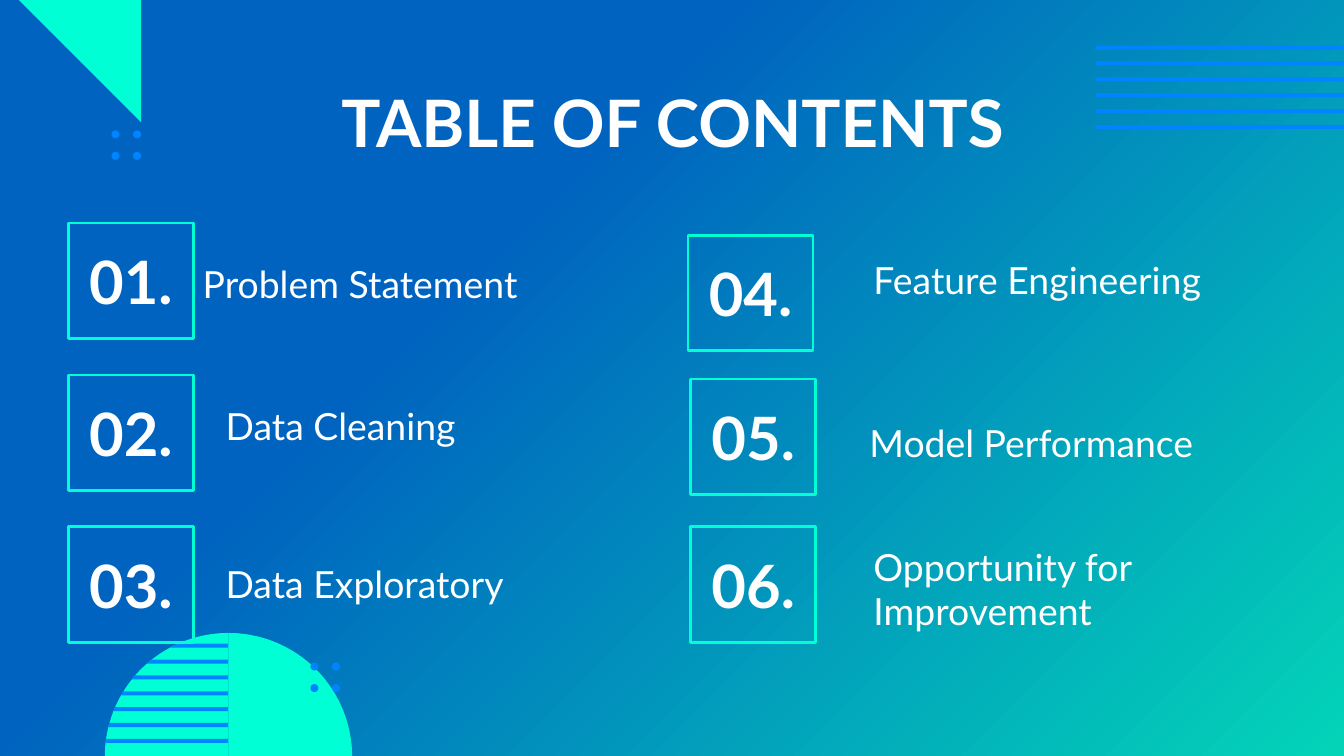
from math import cos, pi, sin, sqrt

from pptx import Presentation
from pptx.dml.color import RGBColor
from pptx.enum.shapes import MSO_SHAPE as Preset
from pptx.enum.text import MSO_ANCHOR as Anchor
from pptx.enum.text import MSO_AUTO_SIZE as AutoSize
from pptx.enum.text import PP_ALIGN as Align
from pptx.util import Inches, Pt

WHITE = RGBColor(0xFF, 0xFF, 0xFF)
MINT = RGBColor(0x00, 0xFF, 0xD5)
BRIGHT_BLUE = RGBColor(0x00, 0x84, 0xFF)
DEEP_BLUE = RGBColor(0x00, 0x63, 0xBF)
TEAL = RGBColor(0x03, 0xD4, 0xB8)
FONT = "Lato"

STRIPE_HEIGHT = 0.03
STRIPE_PITCH = 0.118
DOME_X, DOME_Y, DOME_RADIUS = 1.7, 5.63, 0.92

# number, box (left, top), topic, topic (left, top, width, height)
CONTENTS = [
    ("01.", (0.51, 1.66), "Problem Statement", (1.41, 1.91, 2.82, 0.4)),
    ("02.", (0.51, 2.79), "Data Cleaning", (1.58, 2.97, 2.82, 0.4)),
    ("03.", (0.51, 3.92), "Data Exploratory", (1.58, 4.14, 2.46, 0.4)),
    ("04.", (5.12, 1.75), "Feature Engineering", (6.4, 1.88, 2.82, 0.4)),
    ("05.", (5.14, 2.82), "Model Performance", (6.37, 3.05, 2.85, 0.49)),
    ("06.", (5.14, 3.92), "Opportunity for Improvement", (6.4, 4.1, 2.82, 0.56)),
]


def write_text(shape, text, size, bold=False, align=Align.LEFT):
    frame = shape.text_frame
    frame.word_wrap = True
    frame.auto_size = AutoSize.NONE
    frame.vertical_anchor = Anchor.MIDDLE
    frame.margin_left = frame.margin_right = Inches(0.1)
    frame.margin_top = frame.margin_bottom = Inches(0.1)
    paragraph = frame.paragraphs[0]
    paragraph.alignment = align
    run = paragraph.add_run()
    run.text = text
    run.font.name = FONT
    run.font.size = Pt(size)
    run.font.bold = bold
    run.font.color.rgb = WHITE


def paint(shape, color):
    shape.shadow.inherit = False
    shape.fill.solid()
    shape.fill.fore_color.rgb = color
    shape.line.fill.background()


def add_solid(slide, preset, left, top, width, height, color):
    box = map(Inches, (left, top, width, height))
    paint(slide.shapes.add_shape(preset, *box), color)


def add_polygon(slide, points, color):
    start, *others = [(Inches(x), Inches(y)) for x, y in points]
    builder = slide.shapes.build_freeform(*start)
    builder.add_line_segments(others, close=True)
    paint(builder.convert_to_shape(), color)


def add_dome_half(slide, side):
    """Add a quarter disc; side is -1 for the left and 1 for the right."""
    steps = 45
    angles = [pi / 2 * step / steps for step in range(steps + 1)]
    arc = [(DOME_X + side * DOME_RADIUS * sin(angle),
            DOME_Y - DOME_RADIUS * cos(angle)) for angle in angles]
    add_polygon(slide, [(DOME_X, DOME_Y)] + arc, MINT)


def add_dome_stripe(slide, top):
    """Add a stripe whose left end follows the edge of the dome."""
    bottom = top + STRIPE_HEIGHT
    top_left, bottom_left = [
        (DOME_X - sqrt(DOME_RADIUS ** 2 - (DOME_Y - y) ** 2), y)
        for y in (top, bottom)]
    add_polygon(
        slide, [top_left, bottom_left, (DOME_X, bottom), (DOME_X, top)], BRIGHT_BLUE)


def add_dot_square(slide, left, top):
    for column in range(2):
        for row in range(2):
            add_solid(slide, Preset.OVAL, left + 0.16 * column,
                      top + 0.16 * row, 0.06, 0.06, BRIGHT_BLUE)


def add_decoration(slide):
    for index in range(6):
        add_solid(slide, Preset.RECTANGLE, 8.15, 0.34 + STRIPE_PITCH * index,
                  2.56, STRIPE_HEIGHT, BRIGHT_BLUE)
    add_dome_half(slide, -1)
    for index in range(7):
        add_dome_stripe(slide, 4.79 + STRIPE_PITCH * index)
    add_dome_half(slide, 1)
    add_polygon(slide, [(0.14, 0), (1.05, 0.91), (1.05, 0)], MINT)
    add_dot_square(slide, 0.83, 0.97)
    add_dot_square(slide, 2.31, 4.93)


def add_number(slide, number, left, top):
    box = slide.shapes.add_shape(
        Preset.RECTANGLE, Inches(left), Inches(top), Inches(0.93), Inches(0.86))
    box.shadow.inherit = False
    box.fill.background()
    box.line.color.rgb = MINT
    box.line.width = Pt(1.5)
    write_text(box, number, 32, bold=True, align=Align.CENTER)


def add_topic(slide, topic, place):
    write_text(slide.shapes.add_textbox(*map(Inches, place)), topic, 20)


def set_background(slide):
    fill = slide.background.fill
    fill.gradient()
    fill.gradient_angle = 315
    for stop, position, color in zip(
            fill.gradient_stops, (0.35, 1), (DEEP_BLUE, TEAL)):
        stop.position = position
        stop.color.rgb = color


def set_title(slide, text):
    title = slide.shapes.title
    title.left, title.top = Inches(0.79), Inches(0.59)
    title.width, title.height = Inches(8.43), Inches(0.63)
    write_text(title, text, 35, bold=True, align=Align.CENTER)


def main():
    prs = Presentation()
    prs.slide_width = Inches(10)
    prs.slide_height = Inches(10) * 9 // 16
    slide = prs.slides.add_slide(prs.slide_layouts[5])
    set_background(slide)
    add_decoration(slide)
    set_title(slide, "TABLE OF CONTENTS")
    for number, corner, topic, place in CONTENTS:
        add_number(slide, number, *corner)
        add_topic(slide, topic, place)
    prs.save("out.pptx")


if __name__ == "__main__":
    main()
